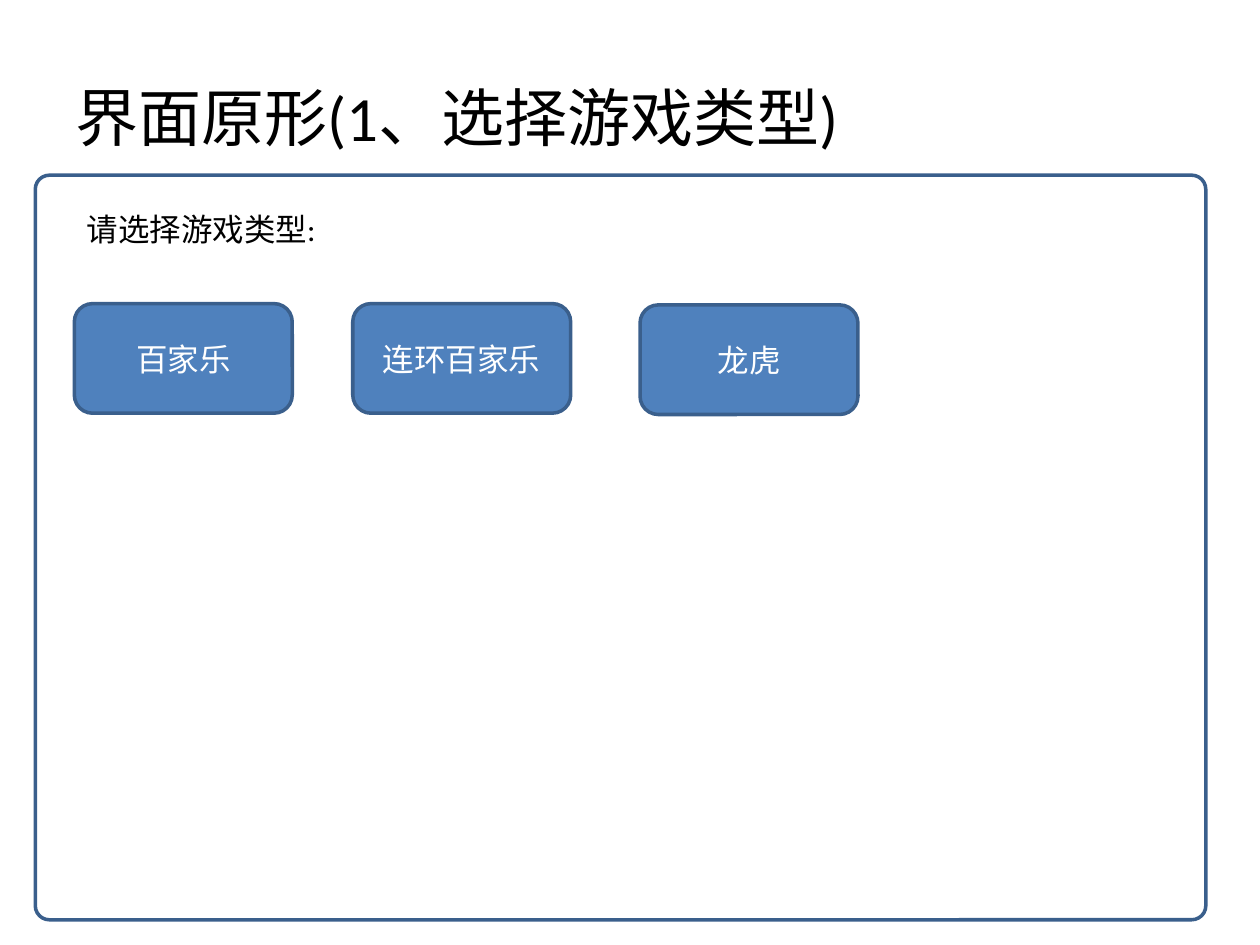
from pptx import Presentation
from pptx.dml.color import RGBColor
from pptx.enum.shapes import MSO_SHAPE
from pptx.enum.text import MSO_ANCHOR, MSO_AUTO_SIZE, PP_ALIGN
from pptx.util import Inches, Pt

ROUNDED = MSO_SHAPE.ROUNDED_RECTANGLE
MIDDLE = MSO_ANCHOR.MIDDLE
LEFT, CENTER = PP_ALIGN.LEFT, PP_ALIGN.CENTER
FONT = "Calibri"
COLORS = {"text": "000000", "button": "4F81BD", "border": "3A5F8C", "label": "FFFFFF"}
GAME_BUTTONS = [("百家乐", 0.31, 1.02), ("连环百家乐", 2.52, 1.02), ("龙虎", 4.8, 1.03)]


def color(name):
    """Return the named palette colour."""
    return RGBColor.from_string(COLORS[name])


def write(shape, text, size, color_name, alignment):
    """Put one formatted paragraph into a shape."""
    shape.text_frame.text = text
    paragraph = shape.text_frame.paragraphs[0]
    paragraph.alignment = alignment
    paragraph.font.name = FONT
    paragraph.font.size = Pt(size)
    paragraph.font.color.rgb = color(color_name)


def add_rounded_box(slide, left, top, width, height, fill=None):
    """Add a bordered rounded rectangle, hollow unless a fill is named."""
    shape = slide.shapes.add_shape(
        ROUNDED, Inches(left), Inches(top), Inches(width), Inches(height))
    shape.shadow.inherit = False
    shape.line.color.rgb = color("border")
    shape.line.width = Pt(2)
    if fill:
        shape.fill.solid()
        shape.fill.fore_color.rgb = color(fill)
    else:
        shape.fill.background()
    return shape


def place_title(slide, left, top, width, height):
    """Move and format the title placeholder."""
    title = slide.shapes.title
    title.left, title.top = Inches(left), Inches(top)
    title.width, title.height = Inches(width), Inches(height)
    write(title, "界面原形(1、选择游戏类型)", 36, "text", LEFT)
    title.text_frame.vertical_anchor = MIDDLE


def add_game_panel(slide, left, top, width, height):
    """Draw the panel with its game buttons and prompt."""
    panel = add_rounded_box(slide, left, top, width, height)
    panel.adjustments[0] = 0.019
    for name, across, down in GAME_BUTTONS:
        button = add_rounded_box(slide, left + across, top + down, 1.73, 0.87, "button")
        write(button, name, 18, "label", CENTER)
        button.text_frame.vertical_anchor = MIDDLE
    prompt = slide.shapes.add_textbox(
        Inches(left + 0.31), Inches(top + 0.23), Inches(4.17), Inches(0.4))
    prompt.text_frame.word_wrap = True
    prompt.text_frame.auto_size = MSO_AUTO_SIZE.SHAPE_TO_FIT_TEXT
    write(prompt, "请选择游戏类型:", 18, "text", LEFT)


def main():
    """Build and save the presentation."""
    presentation = Presentation()
    presentation.slide_width, presentation.slide_height = Inches(10), Inches(7.5)
    slide = presentation.slides.add_slide(presentation.slide_layouts[5])
    place_title(slide, 0.5, 0.3, 9, 1.25)
    add_game_panel(slide, 0.28, 1.39, 9.29, 5.91)
    presentation.save("out.pptx")


main()
